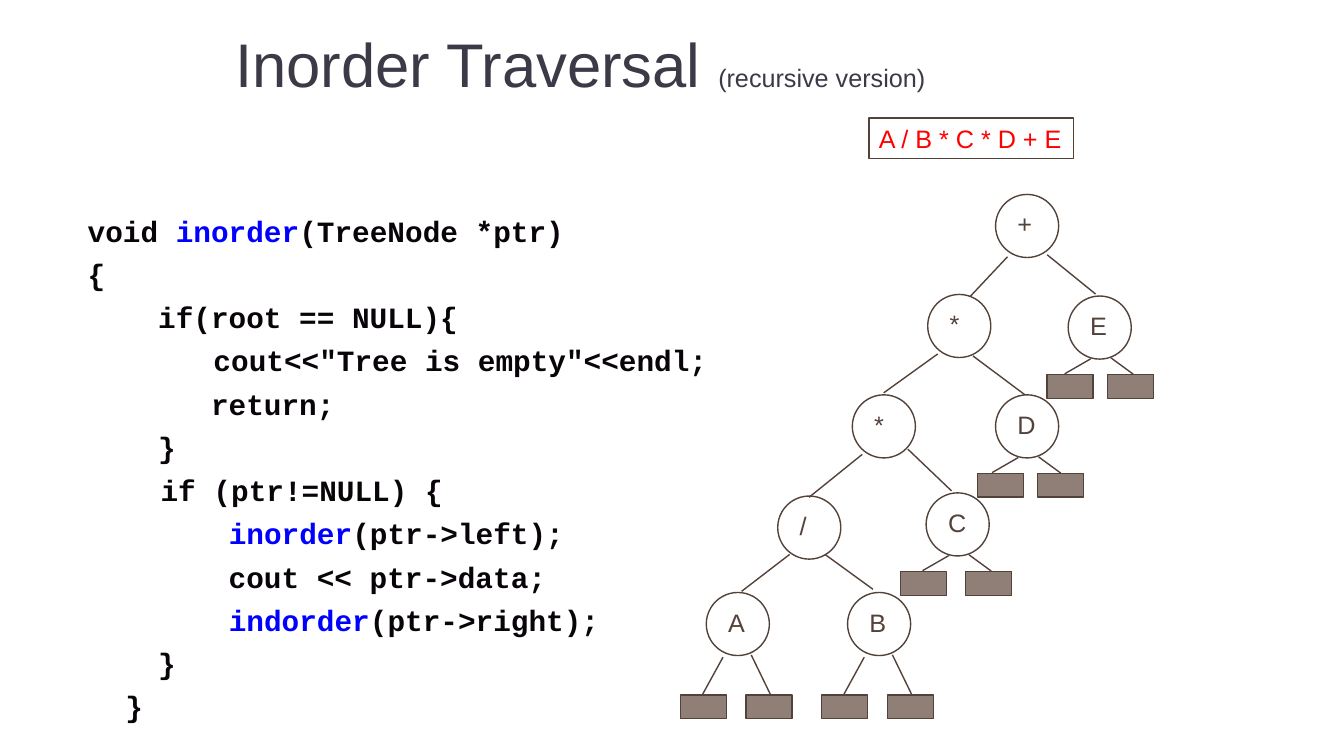
from dataclasses import dataclass

import pptx
import pptx.dml.color
import pptx.enum.shapes
import pptx.enum.text
import pptx.oxml.ns
import pptx.util
from lxml import etree

Cm = pptx.util.Cm
Pt = pptx.util.Pt
Shape = pptx.enum.shapes.MSO_SHAPE
Anchor = pptx.enum.text.MSO_ANCHOR
Align = pptx.enum.text.PP_ALIGN


@dataclass(frozen=True)
class Theme:
    sans: str = "Arial"
    mono: str = "Courier New"
    title: str = "3D3A48"
    ink: str = "534239"
    leaf: str = "907F76"
    code: str = "090409"
    keyword: str = "0000FF"
    result: str = "FF0000"
    title_size: float = 44
    body_size: float = 18
    code_size: float = 21
    code_gap: float = 5.7
    line_width: float = 1


THEME = Theme()

CODE = [
    [("void ", THEME.code), ("inorder", THEME.keyword), ("(TreeNode *ptr)", THEME.code)],
    [("{", THEME.code)],
    [("    if(root == NULL){", THEME.code)],
    [("\t     cout<<\"Tree is empty\"<<endl;", THEME.code)],
    [("       return;", THEME.code)],
    [("    }", THEME.code)],
    [("\t  if (ptr!=NULL) {", THEME.code)],
    [("        ", THEME.code), ("inorder", THEME.keyword), ("(ptr->left);", THEME.code)],
    [("        cout << ptr->data;", THEME.code)],
    [("        ", THEME.code), ("indorder", THEME.keyword), ("(ptr->right);", THEME.code)],
    [("    }", THEME.code)],
    [("\t}", THEME.code)],
]

NODE_SIZE = 1.59
NODES = {
    "root": ("+", 7.95, 0),
    "upper": ("*", 6.24, 2.52),
    "E": ("E", 9.78, 2.56),
    "lower": ("*", 4.34, 5.05),
    "D": ("D", 7.95, 5.05),
    "divide": ("/", 2.46, 7.6),
    "C": ("C", 6.2, 7.52),
    "A": ("A", 0.66, 10.03),
    "B": ("B", 4.22, 10.03),
}
BRANCHES = [
    ("root", (0.3, 1.57), "upper", (1.07, 0.05)),
    ("root", (1.3, 1.52), "E", (0.69, -0.05)),
    ("upper", (0.25, 1.5), "lower", (0.79, -0.05)),
    ("upper", (1.14, 1.55), "D", (0.74, 0)),
    ("lower", (0.25, 1.5), "divide", (0.79, 0.03)),
    ("lower", (1.4, 1.37), "C", (0.64, -0.05)),
    ("divide", (0.3, 1.47), "A", (0.89, -0.03)),
    ("divide", (1.19, 1.47), "B", (0.64, -0.08)),
]

LEAF_SIZE = (1.16, 0.6)
LONG_TIES = [((0.42, 1.63), (-0.09, 2.56)), ((1.13, 1.57), (1.61, 2.56))]
SHORT_TIES = [((0.57, 1.58), (-0.09, 1.96)), ((1.08, 1.56), (1.64, 1.97))]
LEAF_PAIRS = [
    ("A", (-0.65, 1), 2.58, LONG_TIES),
    ("B", (-0.65, 1), 2.58, LONG_TIES),
    ("C", (-0.65, 1), 1.98, SHORT_TIES),
    ("D", (-0.46, 1.06), 1.98, SHORT_TIES),
    ("E", (-0.53, 0.98), 1.98, SHORT_TIES),
]


def rgb(color):
    return pptx.dml.color.RGBColor.from_string(color)


def add_run(paragraph, text, size, color, font=THEME.sans, bold=False):
    run = paragraph.add_run()
    run.text = text
    run.font.name = font
    run.font.size = Pt(size)
    run.font.bold = bold
    run.font.color.rgb = rgb(color)


def set_insets(frame, left, top, right, bottom):
    frame.margin_left, frame.margin_top = Cm(left), Cm(top)
    frame.margin_right, frame.margin_bottom = Cm(right), Cm(bottom)


def add_outlined(slide, kind, left, top, width, height, fill=None):
    outlined = slide.shapes.add_shape(kind, Cm(left), Cm(top), Cm(width), Cm(height))
    outlined.shadow.inherit = False
    if fill:
        outlined.fill.solid()
        outlined.fill.fore_color.rgb = rgb(fill)
    else:
        outlined.fill.background()
    outlined.line.color.rgb = rgb(THEME.ink)
    outlined.line.width = Pt(THEME.line_width)
    return outlined


def add_edge(slide, start, end):
    edge = slide.shapes.add_connector(
        pptx.enum.shapes.MSO_CONNECTOR.STRAIGHT, *(Cm(value) for value in (*start, *end)))
    edge.line.color.rgb = rgb(THEME.ink)
    edge.line.width = Pt(THEME.line_width)
    properties = edge.element.find(pptx.oxml.ns.qn("p:spPr"))
    etree.SubElement(properties, pptx.oxml.ns.qn("a:effectLst"))


def add_title(slide, left, top, width, height):
    heading = slide.shapes.add_textbox(Cm(left), Cm(top), Cm(width), Cm(height)).text_frame
    heading.word_wrap = True
    heading.vertical_anchor = Anchor.MIDDLE
    paragraph = heading.paragraphs[0]
    paragraph.alignment = Align.CENTER
    add_run(paragraph, "Inorder Traversal ", THEME.title_size, THEME.title)
    add_run(paragraph, "(recursive version)", THEME.body_size, THEME.title)


def add_code(slide, left, top, width, height):
    listing = slide.shapes.add_textbox(Cm(left), Cm(top), Cm(width), Cm(height)).text_frame
    listing.word_wrap = True
    set_insets(listing, 0.25, 0.25, 0.25, 0.13)
    for index, code_line in enumerate(CODE):
        paragraph = listing.add_paragraph() if index else listing.paragraphs[0]
        properties = paragraph._p.get_or_add_pPr()
        properties.set("marL", str(Cm(0.95)))
        properties.set("indent", str(-Cm(0.95)))
        if index:
            paragraph.space_before = Pt(THEME.code_gap)
        for text, color in code_line:
            add_run(paragraph, text, THEME.code_size, color, THEME.mono, True)


def add_expression(slide, left, top, width, height):
    frame = add_outlined(slide, Shape.RECTANGLE, left, top, width, height).text_frame
    frame.word_wrap = False
    frame.vertical_anchor = Anchor.TOP
    set_insets(frame, 0.25, 0.13, 0.25, 0.13)
    paragraph = frame.paragraphs[0]
    paragraph.alignment = Align.LEFT
    add_run(paragraph, "A / B * C * D + E", THEME.body_size, THEME.result)


def add_tree(slide, left, top):
    def point(name, offset):
        _, x, y = NODES[name]
        return left + x + offset[0], top + y + offset[1]

    for parent, start, child, end in BRANCHES:
        add_edge(slide, point(parent, start), point(child, end))

    for name, (first, scale), drop, ties in LEAF_PAIRS:
        for side in range(2):
            corner = point(name, (first + side * 1.65 * (scale if scale == 1 else 0.92), drop))
            add_outlined(slide, Shape.RECTANGLE, *corner, *LEAF_SIZE, THEME.leaf)
        for start, end in ties:
            add_edge(slide, point(name, start), point(name, end))

    for name, (label, _, _) in NODES.items():
        corner = point(name, (0, 0))
        frame = add_outlined(slide, Shape.OVAL, *corner, NODE_SIZE, NODE_SIZE).text_frame
        frame.word_wrap = True
        frame.vertical_anchor = Anchor.TOP
        set_insets(frame, 0.32, 0.13, 0, 0)
        paragraph = frame.paragraphs[0]
        paragraph.alignment = Align.LEFT
        add_run(paragraph, label, THEME.body_size, THEME.ink)


def main():
    deck = pptx.Presentation()
    deck.slide_width, deck.slide_height = Cm(33.87), Cm(19.05)
    slide = deck.slides.add_slide(deck.slide_layouts[6])
    add_title(slide, 1.9, 0, 25.45, 3.18)
    add_code(slide, 1.96, 5.11, 16.74, 10.16)
    add_tree(slide, 17.14, 4.9)
    add_expression(slide, 21.9, 2.97, 5.16, 1.02)
    deck.save("out.pptx")


if __name__ == "__main__":
    main()
